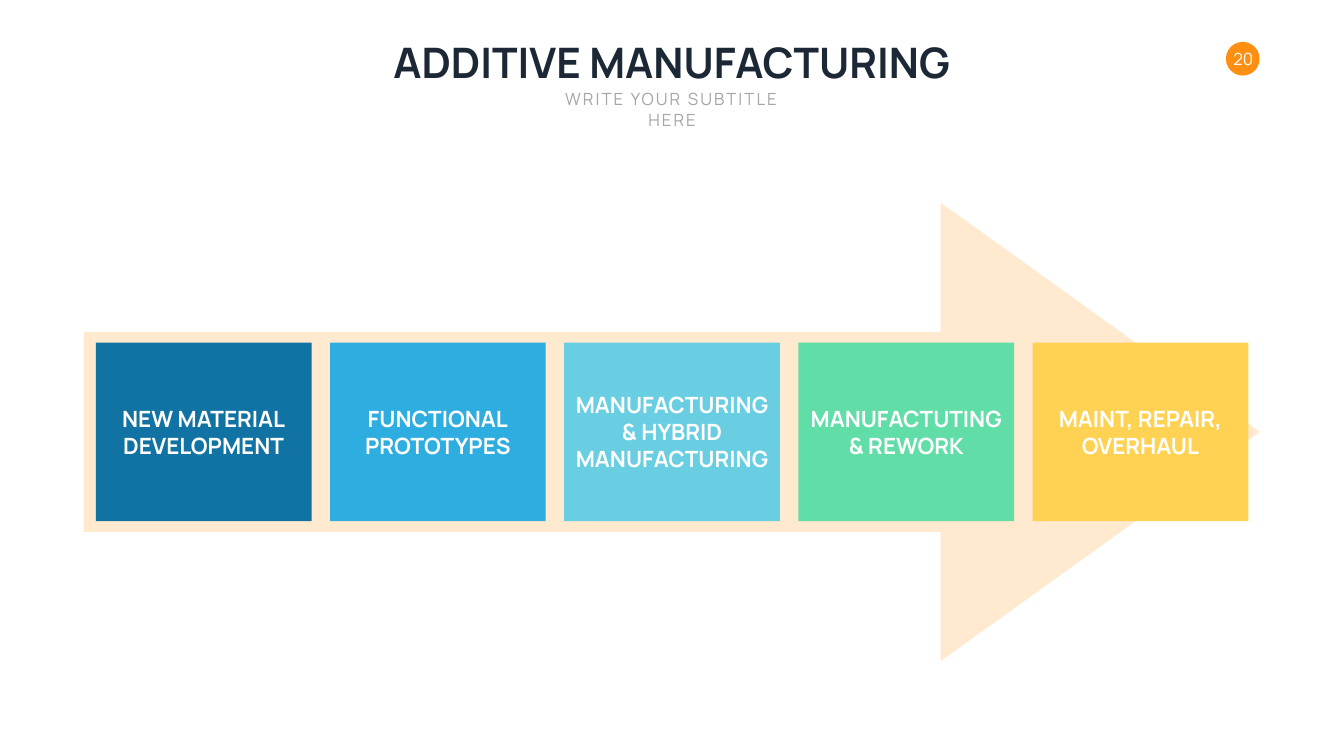
"""Build the additive manufacturing slide: five stages on a wide arrow."""
from pptx import Presentation
from pptx.dml.color import RGBColor
from pptx.enum.shapes import MSO_SHAPE as Shape
from pptx.enum.text import MSO_ANCHOR as Anchor, MSO_AUTO_SIZE as AutoSize, PP_ALIGN as Align
from pptx.util import Cm, Pt

FONT = "Manrope"
COLOURS = {
    "ink": "1C2835",
    "grey": "A6A6A6",
    "white": "FFFFFF",
    "badge": "FF8F10",
    "arrow": "FFE9CF",
    "navy": "1073A3",
    "blue": "2DADE0",
    "cyan": "6ACEE3",
    "green": "61DDA8",
    "yellow": "FFD253",
}
STAGES = [
    ("navy", "NEW MATERIAL\nDEVELOPMENT", 9.07),
    ("blue", "FUNCTIONAL\nPROTOTYPES", 7.9),
    ("cyan", "MANUFACTURING\n& HYBRID\nMANUFACTURING", 10.67),
    ("green", "MANUFACTUTING\n& REWORK", 10.62),
    ("yellow", "MAINT, REPAIR,\nOVERHAUL", 9.17),
]
TILE_LEFT, TILE_TOP, TILE_WIDTH, TILE_HEIGHT, TILE_PITCH = 4.83, 17.27, 10.87, 8.99, 11.8
LINE_HEIGHT, LABEL_PADDING = 1.37, 0.26


def add_block(page, kind, left, top, width, height, colour):
    """Add a flat filled shape without outline."""
    block = page.shapes.add_shape(kind, Cm(left), Cm(top), Cm(width), Cm(height))
    block.shadow.inherit = False
    block.fill.solid()
    block.fill.fore_color.rgb = RGBColor.from_string(COLOURS[colour])
    block.line.fill.background()
    return block


def add_text(page, text, left, top, width, height, size, colour,
             bold=False, anchor=Anchor.TOP, wrap=False, spacing=None):
    """Add a centred text box with one paragraph for each line."""
    box = page.shapes.add_textbox(Cm(left), Cm(top), Cm(width), Cm(height))
    frame = box.text_frame
    frame.text = text
    frame.word_wrap = wrap
    frame.auto_size = AutoSize.SHAPE_TO_FIT_TEXT
    frame.vertical_anchor = anchor
    for para in frame.paragraphs:
        para.alignment = Align.CENTER
        for span in para.runs:
            span.font.name = FONT
            span.font.size = Pt(size)
            span.font.bold = bold
            span.font.color.rgb = RGBColor.from_string(COLOURS[colour])
            if spacing:
                span.font._element.set("spc", str(spacing * 100))


def add_header(page):
    """Add the page number, title and subtitle."""
    add_block(page, Shape.OVAL, 61.77, 2.11, 1.7, 1.7, "badge")
    add_text(page, "20", 61.77, 2.34, 1.75, 1.27, 24, "white", anchor=Anchor.MIDDLE)
    add_text(page, "ADDITIVE MANUFACTURING", 18.87, 1.7, 29.95, 2.82, 60, "ink", bold=True)
    add_text(page, "WRITE YOUR SUBTITLE HERE", 26.97, 4.37, 13.79, 1.27, 24, "grey",
             wrap=True, spacing=3)


def add_stages(page):
    """Add the arrow, the row of tiles and the centred labels."""
    arrow = add_block(page, Shape.RIGHT_ARROW, 4.22, 10.21, 59.26, 23.11, "arrow")
    arrow.adjustments[0] = 0.436
    arrow.adjustments[1] = 0.696
    lefts = [TILE_LEFT + index * TILE_PITCH for index in range(len(STAGES))]
    for left, (colour, _, _) in zip(lefts, STAGES):
        add_block(page, Shape.RECTANGLE, left, TILE_TOP, TILE_WIDTH, TILE_HEIGHT, colour)
    for left, (_, label, width) in zip(lefts, STAGES):
        height = LABEL_PADDING + LINE_HEIGHT * len(label.splitlines())
        add_text(page, label, left + (TILE_WIDTH - width) / 2,
                 TILE_TOP + (TILE_HEIGHT - height) / 2, width, height,
                 32, "white", bold=True, anchor=Anchor.MIDDLE)


def main():
    """Create the deck and save it."""
    deck = Presentation()
    deck.slide_width, deck.slide_height = Cm(67.72), Cm(38.1)
    page = deck.slides.add_slide(deck.slide_layouts[6])
    add_header(page)
    add_stages(page)
    deck.save("out.pptx")


if __name__ == "__main__":
    main()
